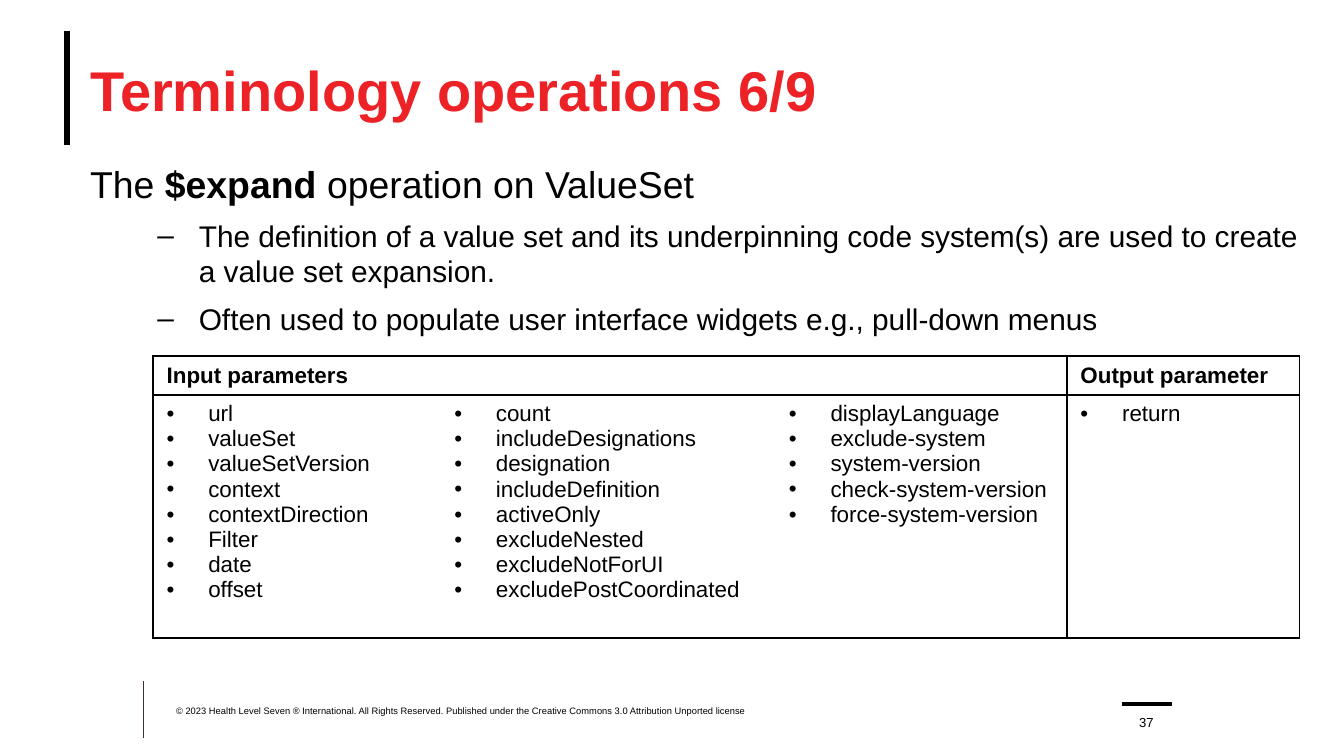
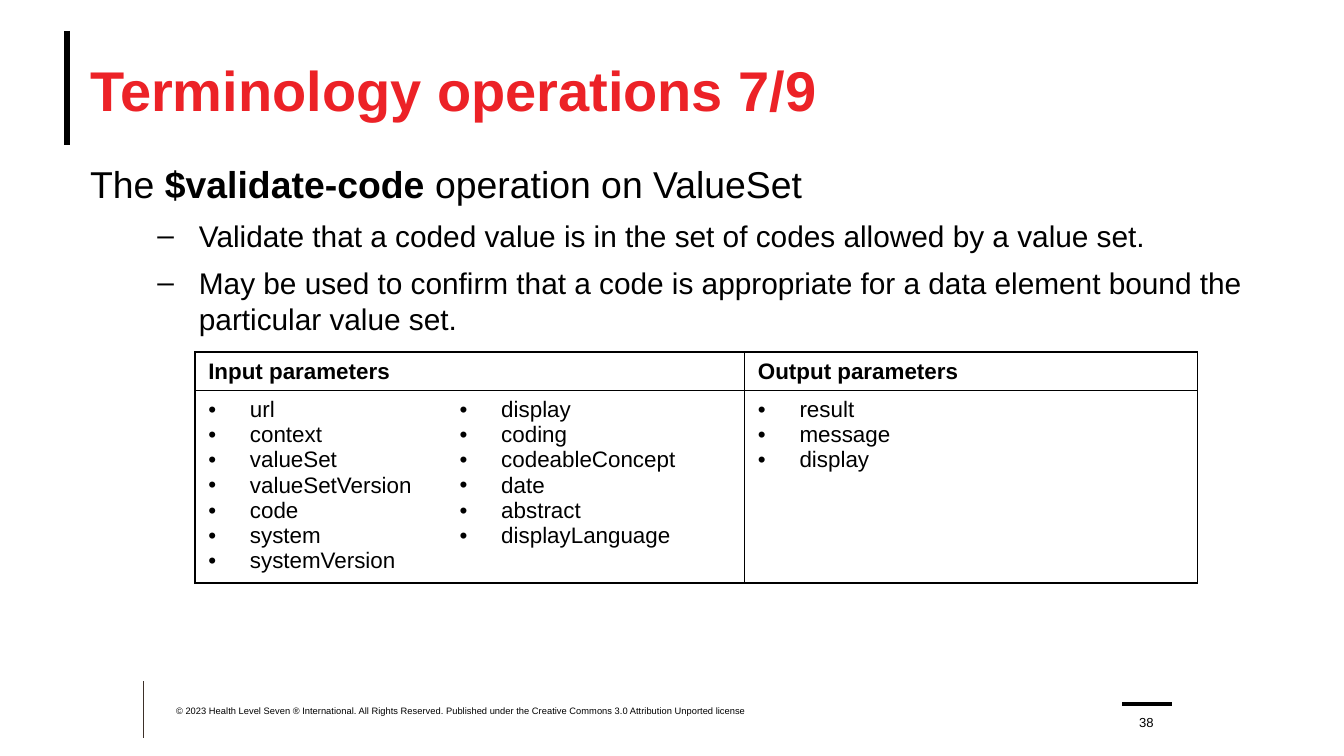
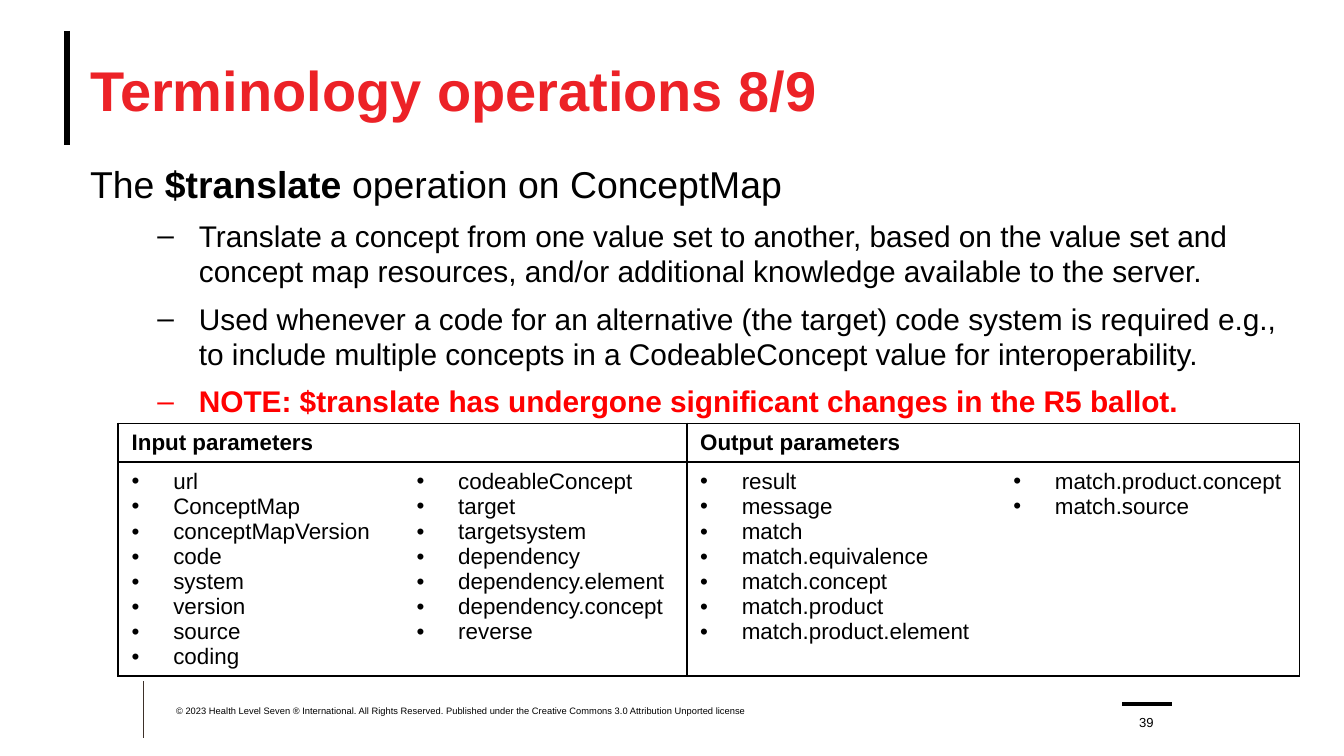
import dataclasses

import lxml.etree
import pptx
import pptx.dml.color
import pptx.enum.shapes
import pptx.enum.text
import pptx.oxml.ns
import pptx.presentation
import pptx.shapes.autoshape
import pptx.slide
import pptx.table
import pptx.text.text
import pptx.util

Inches = pptx.util.Inches
Pt = pptx.util.Pt
qn = pptx.oxml.ns.qn
Anchor = pptx.enum.text.MSO_ANCHOR
Align = pptx.enum.text.PP_ALIGN

FONT = "Arial"
BLACK = "000000"
TITLE_RED = "EC2227"
NOTE_RED = "FF0000"
RULE_BROWN = "3D3029"
HANGING = 0.31
COPYRIGHT = (
    "© 2023 Health Level Seven ® International. All Rights Reserved. "
    "Published under the Creative Commons 3.0 Attribution Unported license"
)


@dataclasses.dataclass(frozen=True)
class Rule:
    x1: float
    y1: float
    x2: float
    y2: float
    color: str
    weight: float


@dataclasses.dataclass(frozen=True)
class Box:
    left: float
    top: float
    width: float
    height: float

    def lengths(self) -> tuple:
        return tuple(Inches(v) for v in dataclasses.astuple(self))


@dataclasses.dataclass(frozen=True)
class Group:
    heading: str
    columns: list[str]


@dataclasses.dataclass(frozen=True)
class Parameters:
    box: Box
    widths: list[float]
    heights: list[float]
    groups: list[Group]


@dataclasses.dataclass(frozen=True)
class Operation:
    page: int
    name: str
    resource: str
    points: list[str]
    parameters: Parameters
    note: str = ""


RULES = [
    Rule(0.5, 0.23, 0.5, 1.08, BLACK, 3.25),
    Rule(1.07, 5.07, 1.07, 5.49, RULE_BROWN, 0.5),
    Rule(8.35, 5.24, 8.72, 5.24, BLACK, 2),
]
TITLE_BOX = Box(0.67, 0.23, 9, 0.86)
BODY_BOX = Box(0.67, 1.2, 9, 3.89)
COPYRIGHT_BOX = Box(1.31, 5.24, 4.95, 0.17)
PAGE_BOX = Box(8.38, 5.26, 0.3, 0.17)

OPERATIONS = [
    Operation(
        37, "$expand", "ValueSet",
        [
            "The definition of a value set and its underpinning code system(s) "
            "are used to create a value set expansion.",
            "Often used to populate user interface widgets e.g., pull-down menus",
        ],
        Parameters(
            Box(1.14, 2.65, 8.53, 2.11), [2.14, 2.49, 2.17, 1.73], [0.28, 1.81],
            [
                Group("Input parameters", [
                    "url valueSet valueSetVersion context contextDirection Filter date offset",
                    "count includeDesignations designation includeDefinition activeOnly "
                    "excludeNested excludeNotForUI excludePostCoordinated",
                    "displayLanguage exclude-system system-version "
                    "check-system-version force-system-version",
                ]),
                Group("Output parameter", ["return"]),
            ],
        ),
    ),
    Operation(
        38, "$validate-code", "ValueSet",
        [
            "Validate that a coded value is in the set of codes allowed by a value set.",
            "May be used to confirm that a code is appropriate for a data element "
            "bound the particular value set.",
        ],
        Parameters(
            Box(1.45, 2.62, 7.45, 1.8), [1.87, 2.22, 3.37], [0.22, 1.43],
            [
                Group("Input parameters", [
                    "url context valueSet valueSetVersion code system systemVersion",
                    "display coding codeableConcept date abstract displayLanguage",
                ]),
                Group("Output parameters", ["result message display"]),
            ],
        ),
    ),
    Operation(
        39, "$translate", "ConceptMap",
        [
            "Translate a concept from one value set to another, based on the value set "
            "and concept map resources, and/or additional knowledge available to the server.",
            "Used whenever a code for an alternative (the target) code system is required "
            "e.g., to include multiple concepts in a CodeableConcept value for interoperability.",
        ],
        Parameters(
            Box(0.88, 3.15, 8.79, 2), [2.12, 2.11, 2.33, 2.23], [0.21, 1.49],
            [
                Group("Input parameters", [
                    "url ConceptMap conceptMapVersion code system version source coding",
                    "codeableConcept target targetsystem dependency "
                    "dependency.element dependency.concept reverse",
                ]),
                Group("Output parameters", [
                    "result message match match.equivalence match.concept "
                    "match.product match.product.element",
                    "match.product.concept match.source",
                ]),
            ],
        ),
        "NOTE: $translate has undergone significant changes in the R5 ballot.",
    ),
]


def rgb(color: str) -> pptx.dml.color.RGBColor:
    return pptx.dml.color.RGBColor.from_string(color)


def write(paragraph: pptx.text.text._Paragraph, text: str, *, size: float,
          color: str = BLACK, bold: bool = False) -> None:
    run = paragraph.add_run()
    run.text = text
    run.font.name = FONT
    run.font.size = Pt(size)
    run.font.bold = bold
    run.font.color.rgb = rgb(color)


def set_bullet(paragraph: pptx.text.text._Paragraph, mark: str,
               margin: float, indent: float) -> None:
    properties = paragraph._p.get_or_add_pPr()
    properties.set("marL", str(Inches(margin)))
    properties.set("indent", str(Inches(indent)))
    if mark:
        lxml.etree.SubElement(properties, qn("a:buFont"), typeface=FONT)
        lxml.etree.SubElement(properties, qn("a:buChar"), char=mark)
    else:
        lxml.etree.SubElement(properties, qn("a:buNone"))


def next_paragraph(frame: pptx.text.text.TextFrame) -> pptx.text.text._Paragraph:
    first = frame.paragraphs[0]
    return frame.add_paragraph() if first.runs else first


def prepare_frame(shape: pptx.shapes.autoshape.Shape, box: Box, anchor: Anchor,
                  bottom: float = 0) -> pptx.text.text.TextFrame:
    shape.left, shape.top, shape.width, shape.height = box.lengths()
    frame = shape.text_frame
    frame.margin_left = frame.margin_right = frame.margin_top = 0
    frame.margin_bottom = Inches(bottom)
    frame.word_wrap = True
    frame.auto_size = pptx.enum.text.MSO_AUTO_SIZE.NONE
    frame.vertical_anchor = anchor
    return frame


def draw_rule(slide: pptx.slide.Slide, rule: Rule) -> None:
    line = slide.shapes.add_connector(
        pptx.enum.shapes.MSO_CONNECTOR.STRAIGHT,
        Inches(rule.x1), Inches(rule.y1), Inches(rule.x2), Inches(rule.y2))
    line.line.color.rgb = rgb(rule.color)
    line.line.width = Pt(rule.weight)
    lxml.etree.SubElement(line._element.spPr, qn("a:effectLst"))


def draw_footer(slide: pptx.slide.Slide, page: int) -> None:
    notice = prepare_frame(slide.shapes.add_textbox(*COPYRIGHT_BOX.lengths()),
                           COPYRIGHT_BOX, Anchor.BOTTOM, bottom=0.08)
    write(notice.paragraphs[0], COPYRIGHT, size=5)
    number = prepare_frame(slide.shapes.add_textbox(*PAGE_BOX.lengths()),
                           PAGE_BOX, Anchor.BOTTOM)
    number.paragraphs[0].alignment = Align.CENTER
    write(number.paragraphs[0], str(page), size=7)


def draw_title(slide: pptx.slide.Slide, page: int) -> None:
    frame = prepare_frame(slide.shapes.title, TITLE_BOX, Anchor.MIDDLE)
    frame.paragraphs[0].alignment = Align.LEFT
    write(frame.paragraphs[0], f"Terminology operations {page - 31}/9",
          size=30, color=TITLE_RED, bold=True)


def draw_body(slide: pptx.slide.Slide, operation: Operation) -> None:
    frame = prepare_frame(slide.placeholders[1], BODY_BOX, Anchor.TOP)
    lead = frame.paragraphs[0]
    lead.space_before = Pt(0)
    set_bullet(lead, "", 0, -0.11)
    write(lead, "The ", size=20)
    write(lead, operation.name, size=20, bold=True)
    write(lead, f" operation on {operation.resource}", size=20)

    def add_point(text: str, color: str = BLACK, bold: bool = False) -> None:
        point = next_paragraph(frame)
        point.level = 1
        point.space_before = Pt(6)
        set_bullet(point, "–", 0.81, -HANGING)
        write(point, text, size=16, color=color, bold=bold)

    for text in operation.points:
        add_point(text)
    if operation.note:
        add_point(operation.note, NOTE_RED, True)


def format_cell(cell: pptx.table._Cell, left: bool, right: bool) -> None:
    properties = cell._tc.get_or_add_tcPr()
    for side, shown in (("L", left), ("R", right), ("T", True), ("B", True)):
        border = lxml.etree.SubElement(properties, qn(f"a:ln{side}"), w=str(Pt(1)))
        if shown:
            fill = lxml.etree.SubElement(border, qn("a:solidFill"))
            lxml.etree.SubElement(fill, qn("a:srgbClr"), val=BLACK)
        else:
            lxml.etree.SubElement(border, qn("a:noFill"))
    cell.fill.background()


def draw_parameters(slide: pptx.slide.Slide, parameters: Parameters) -> None:
    graphic = slide.shapes.add_table(2, len(parameters.widths), *parameters.box.lengths())
    table = graphic.table
    table.first_row = table.horz_banding = False
    for column, width in zip(table.columns, parameters.widths):
        column.width = Inches(width)
    for row, height in zip(table.rows, parameters.heights):
        row.height = Inches(height)
    graphic.height = Inches(parameters.box.height)

    start = 0
    for group in parameters.groups:
        end = start + len(group.columns) - 1
        for index, names in enumerate(group.columns, start):
            format_cell(table.cell(0, index), True, True)
            format_cell(table.cell(1, index), index == start, index == end)
            frame = table.cell(1, index).text_frame
            for name in names.split():
                item = next_paragraph(frame)
                set_bullet(item, "•", HANGING, -HANGING)
                write(item, name, size=12)
        heading = table.cell(0, start)
        if end > start:
            heading.merge(table.cell(0, end))
        write(heading.text_frame.paragraphs[0], group.heading, size=12, bold=True)
        start = end + 1


def draw_operation(deck: pptx.presentation.Presentation, operation: Operation) -> None:
    slide = deck.slides.add_slide(deck.slide_layouts[1])
    for rule in RULES:
        draw_rule(slide, rule)
    draw_title(slide, operation.page)
    draw_body(slide, operation)
    draw_footer(slide, operation.page)
    draw_parameters(slide, operation.parameters)


def main() -> None:
    deck = pptx.Presentation()
    deck.slide_width = Inches(10)
    deck.slide_height = deck.slide_width * 9 // 16
    for operation in OPERATIONS:
        draw_operation(deck, operation)
    deck.save("out.pptx")


if __name__ == "__main__":
    main()
